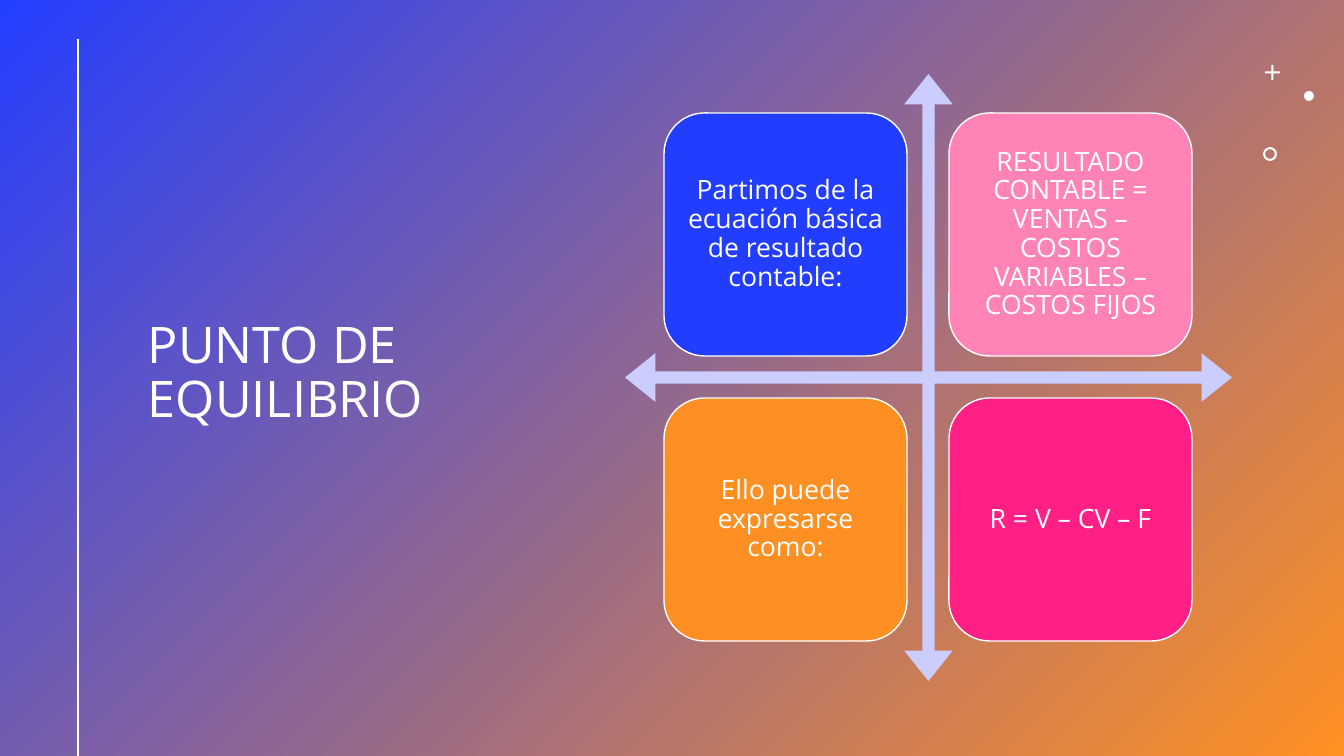
from lxml import etree
from pptx import Presentation
from pptx.dml.color import RGBColor
from pptx.enum.shapes import MSO_CONNECTOR, MSO_SHAPE
from pptx.enum.text import MSO_ANCHOR, PP_ALIGN
from pptx.oxml.ns import qn
from pptx.util import Pt

RECT, ROUNDED = MSO_SHAPE.RECTANGLE, MSO_SHAPE.ROUNDED_RECTANGLE
QUAD_ARROW, CROSS = MSO_SHAPE.QUAD_ARROW, MSO_SHAPE.CROSS
OVAL, DONUT = MSO_SHAPE.OVAL, MSO_SHAPE.DONUT
STRAIGHT = MSO_CONNECTOR.STRAIGHT
MIDDLE = MSO_ANCHOR.MIDDLE
LEFT, CENTER = PP_ALIGN.LEFT, PP_ALIGN.CENTER

WHITE = RGBColor(0xFF, 0xFF, 0xFF)
BLUE = RGBColor(0x24, 0x3F, 0xFF)
AMBER = RGBColor(0xFF, 0x90, 0x22)
LAVENDER = RGBColor(0xCB, 0xCD, 0xFF)
BOX_BLUE = RGBColor(0x23, 0x3D, 0xFF)
BOX_PINK = RGBColor(0xFF, 0x83, 0xB6)
BOX_ORANGE = RGBColor(0xFE, 0x8F, 0x22)
BOX_MAGENTA = RGBColor(0xFF, 0x1F, 0x85)

# Content
TITLE = "PUNTO DE EQUILIBRIO"
QUADRANTS = [  # row by row
    ("Partimos de la ecuación básica de resultado contable:", BOX_BLUE),
    ("RESULTADO CONTABLE = VENTAS – COSTOS VARIABLES – COSTOS FIJOS", BOX_PINK),
    ("Ello puede expresarse como:", BOX_ORANGE),
    ("R = V – CV – F", BOX_MAGENTA),
]
ORNAMENTS = [  # shape, left, top, size, adjustment
    (CROSS, 1265, 65, 15, 0.43),
    (OVAL, 1304, 91, 10, None),
    (DONUT, 1263, 147, 14, 0.15),
]

# Layout in px
SLIDE_W, SLIDE_H = 1344, 756
RULE_X, RULE_TOP = 78, 39
ARROW_LEFT, ARROW_TOP, ARROW_SIZE = 625, 74, 607
BOX_SIZE, BOX_GAP = 243, 42
BOX_MARGIN = (ARROW_SIZE - 2 * BOX_SIZE - BOX_GAP) // 2
FONT = "Open Sans"


def px(length):
    return round(length * 914400 / 100.8)


def add_shape(kind, left, top, width, height, color=None):
    shape = slide.shapes.add_shape(kind, px(left), px(top), px(width), px(height))
    shape.shadow.inherit = False
    shape.line.fill.background()
    if color is not None:
        shape.fill.solid()
        shape.fill.fore_color.rgb = color
    return shape


def set_text(shape, text, size, align, inset_x, inset_y):
    frame = shape.text_frame
    frame.word_wrap = True
    frame.vertical_anchor = MIDDLE
    frame.margin_left = frame.margin_right = px(inset_x)
    frame.margin_top = frame.margin_bottom = px(inset_y)
    paragraph = frame.paragraphs[0]
    paragraph.text = text
    paragraph.alignment = align
    paragraph.line_spacing = 0.9
    paragraph.font.name = FONT
    paragraph.font.size = Pt(size)
    paragraph.font.color.rgb = WHITE


prs = Presentation()
prs.slide_width, prs.slide_height = px(SLIDE_W), px(SLIDE_H)
slide = prs.slides.add_slide(prs.slide_layouts[6])

# Diagonal gradient backdrop
backdrop = add_shape(RECT, 0, 0, SLIDE_W, SLIDE_H)
backdrop.fill.gradient()
backdrop.fill.gradient_angle = 315
for stop, color in zip(backdrop.fill.gradient_stops, (BLUE, AMBER)):
    stop.color.rgb = color

# Title and vertical rule
title = slide.shapes.add_textbox(px(138), px(66), px(434), px(616))
set_text(title, TITLE, 36, LEFT, 10, 5)
rule = slide.shapes.add_connector(
    STRAIGHT, px(RULE_X), px(RULE_TOP), px(RULE_X), px(SLIDE_H))
rule.line.color.rgb = WHITE
rule.line.width = Pt(2)
etree.SubElement(rule._element.spPr, qn("a:effectLst"))

# Corner ornaments
for kind, left, top, size, adjustment in ORNAMENTS:
    ornament = add_shape(kind, left, top, size, size, WHITE)
    if adjustment is not None:
        ornament.adjustments[0] = adjustment

# Four-way arrow
arrow = add_shape(QUAD_ARROW, ARROW_LEFT, ARROW_TOP, ARROW_SIZE, ARROW_SIZE, LAVENDER)
for index, value in enumerate((0.02, 0.04, 0.05)):
    arrow.adjustments[index] = value

# Quadrant boxes
for index, (text, color) in enumerate(QUADRANTS):
    row, column = divmod(index, 2)
    pitch = BOX_SIZE + BOX_GAP
    box = add_shape(ROUNDED, ARROW_LEFT + BOX_MARGIN + column * pitch,
                    ARROW_TOP + BOX_MARGIN + row * pitch, BOX_SIZE, BOX_SIZE, color)
    box.adjustments[0] = 0.167
    box.line.color.rgb = WHITE
    box.line.width = Pt(1)
    set_text(box, text, 19, CENTER, 8, 8)

prs.save("out.pptx")
